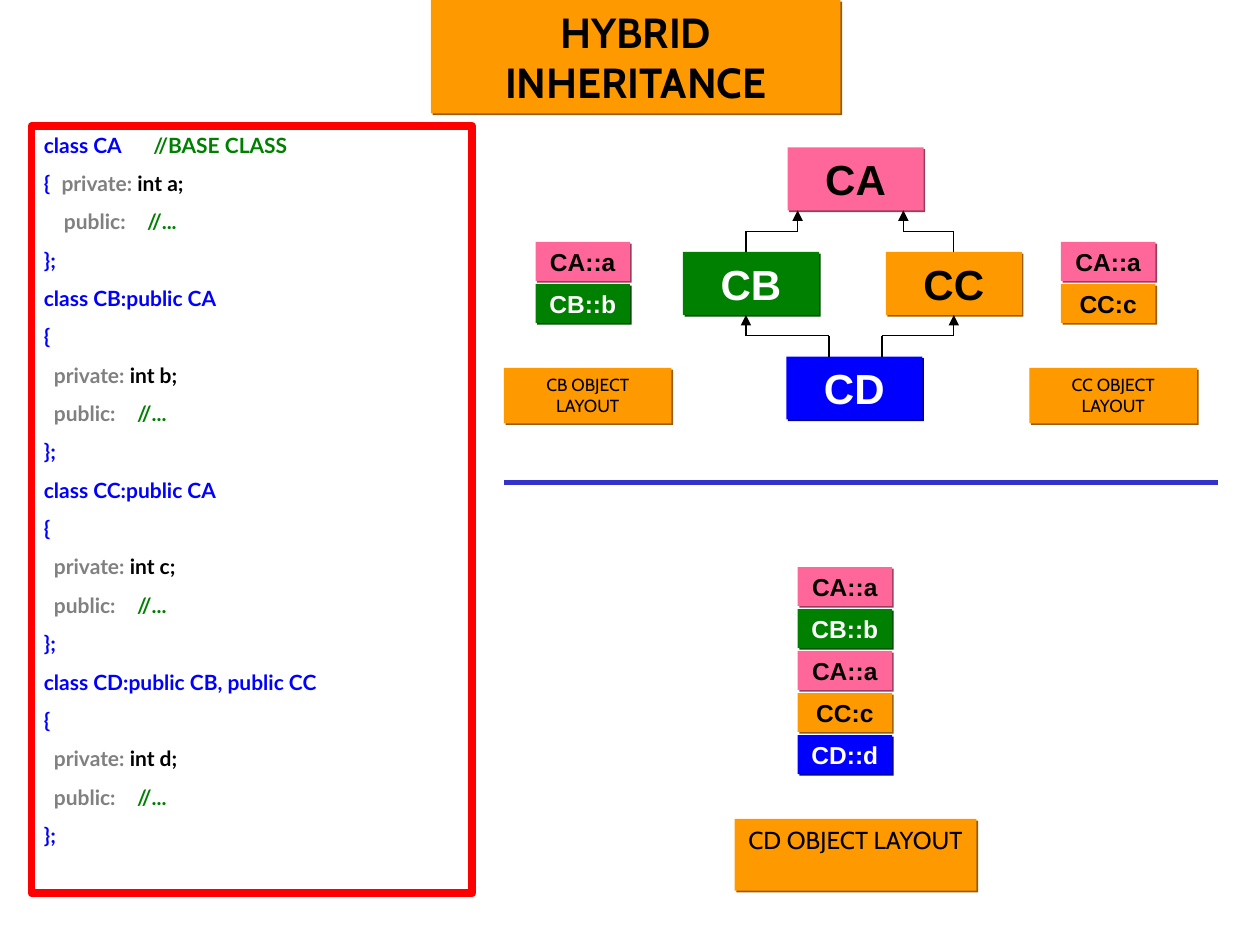
from dataclasses import dataclass
from typing import Optional

from lxml.etree import SubElement
from pptx import Presentation
from pptx.dml.color import RGBColor
from pptx.enum.shapes import MSO_CONNECTOR as Conn, MSO_SHAPE as Geo
from pptx.enum.text import MSO_ANCHOR as Anchor, MSO_AUTO_SIZE as Fit, PP_ALIGN as Align
from pptx.oxml.ns import qn
from pptx.util import Inches, Pt

COLORS = {
    "pink": "FF6699", "green": "008000", "orange": "FF9900", "blue": "0000FF",
    "red": "FF0000", "rule": "3333CC", "gray": "808080",
    "black": "000000", "white": "FFFFFF",
}
CLASS_FILL = {"CA": "pink", "CB": "green", "CC": "orange", "CD": "blue"}
NODE_W, NODE_H = 1.08, 0.5
CELL_W, CELL_H, CELL_STEP = 0.75, 0.31, 1 / 3


@dataclass
class Node:
    name: str
    x: float
    y: float


@dataclass
class Relation:
    child: str
    parent: str
    child_x: float
    parent_x: float
    joins_child: bool = False
    joins_parent: bool = False


@dataclass
class Layout:
    x: float
    y: float
    members: list[str]
    caption: str
    caption_box: tuple[float, float, float, float]
    size: int
    before: float


@dataclass
class CodeLine:
    runs: list[tuple[str, str]]
    tabs: tuple[float, ...] = ()


NODES = [Node("CA", 6.25, 1.17), Node("CB", 5.42, 2), Node("CC", 7.03, 2), Node("CD", 6.24, 2.83)]
RELATIONS = [
    Relation("CB", "CA", 5.92, 6.33),
    Relation("CC", "CA", 7.57, 7.17, joins_child=True),
    Relation("CD", "CB", 6.58, 5.92),
    Relation("CD", "CC", 7, 7.57, joins_parent=True),
]
LAYOUTS = [
    Layout(4.25, 1.92, ["CA::a", "CB::b"], "CB OBJECT LAYOUT", (4, 2.92, 1.33, 0.44), 10, 6.2),
    Layout(8.42, 1.92, ["CA::a", "CC:c"], "CC OBJECT LAYOUT", (8.17, 2.92, 1.33, 0.44), 10, 6.2),
    Layout(6.33, 4.5, ["CA::a", "CB::b", "CA::a", "CC:c", "CD::d"],
           "CD OBJECT LAYOUT", (5.83, 6.5, 1.92, 0.57), 14, 8.8),
]


def rgb(name: str) -> RGBColor:
    return RGBColor.from_string(COLORS[name])


def derived_class(header: str, member: str) -> list[CodeLine]:
    return [
        CodeLine([(header, "blue")]),
        CodeLine([("{", "blue")]),
        CodeLine([("\tprivate:", "gray"), (f" int {member};", "black")], (0.08,)),
        CodeLine([("\tpublic:", "gray"), ("\t//...", "green")], (0.08, 0.74)),
        CodeLine([("};", "blue")]),
    ]


CODE = [
    CodeLine([("class CA", "blue"), ("\t//BASE CLASS", "green")], (0.87,)),
    CodeLine([("{", "blue"), ("\tprivate:", "gray"), (" int a;", "black")], (0.14,)),
    CodeLine([("\tpublic:", "gray"), ("\t//...", "green")], (0.16, 0.82)),
    CodeLine([("};", "blue")]),
    *derived_class("class CB:public CA", "b"),
    *derived_class("class CC:public CA", "c"),
    *derived_class("class CD:public CB, public CC", "d"),
]


def add_run(p, text: str, font: str, size: float, color: str, bold: bool) -> None:
    r = p.add_run()
    r.text = text
    r.font.name = font
    r.font.size = Pt(size)
    r.font.bold = bold
    r.font.color.rgb = rgb(color)


def place(sp, x: float, y: float, w: float, h: float) -> None:
    sp.left, sp.top, sp.width, sp.height = (Inches(v) for v in (x, y, w, h))


def style_box(sp, fill: str) -> None:
    sp.fill.solid()
    sp.fill.fore_color.rgb = rgb(fill)
    sp.line.fill.background()
    sp.shadow.inherit = False
    effects = sp._element.spPr.find(qn("a:effectLst"))
    shadow = SubElement(effects, qn("a:outerShdw"), dist=str(Pt(1.4)), dir="2700000")
    dark = "".join(f"{round(part * 0.6):02X}" for part in rgb(fill))
    SubElement(shadow, qn("a:srgbClr"), val=dark)


def set_text(sp, text: str, font: str, size: float, color: str = "black", bold: bool = False,
             before: float = 0, anchor=Anchor.TOP, wrap: bool = True) -> None:
    tf = sp.text_frame
    tf.auto_size = Fit.NONE
    tf.word_wrap = wrap
    tf.vertical_anchor = anchor
    p = tf.paragraphs[0]
    p.alignment = Align.CENTER
    p.space_before = Pt(before)
    add_run(p, text, font, size, color, bold)


def add_box(shapes, x: float, y: float, w: float, h: float, fill: str):
    sp = shapes.add_shape(Geo.RECTANGLE, *(Inches(v) for v in (x, y, w, h)))
    style_box(sp, fill)
    return sp


def add_class_box(shapes, text: str, x: float, y: float, w: float, h: float, size: float):
    fill = CLASS_FILL[text[:2]]
    sp = add_box(shapes, x, y, w, h, fill)
    color = "white" if fill in ("green", "blue") else "black"
    set_text(sp, text, "Arial", size, color, True, anchor=Anchor.MIDDLE, wrap=False)
    return sp


def add_line(shapes, x1: float, y1: float, x2: float, y2: float, color: str = "black",
             width: float = 0.75, arrow: bool = False, start: Optional[object] = None,
             end: Optional[object] = None) -> None:
    cx = shapes.add_connector(Conn.STRAIGHT, *(Inches(v) for v in (x1, y1, x2, y2)))
    cx.line.color.rgb = rgb(color)
    cx.line.width = Pt(width)
    if arrow:
        SubElement(cx.line._get_or_add_ln(), qn("a:tailEnd"), type="triangle")
    SubElement(cx._element.spPr, qn("a:effectLst"))
    if start is not None:
        cx.begin_connect(start, 0)
    if end is not None:
        cx.end_connect(end, 2)


def add_code(shapes) -> None:
    sp = shapes.add_shape(Geo.RECTANGLE, Inches(0.25), Inches(1), Inches(3.5), Inches(6.09))
    sp.shadow.inherit = False
    sp.fill.solid()
    sp.fill.fore_color.rgb = rgb("white")
    sp.line.color.rgb = rgb("red")
    sp.line.width = Pt(4.5)
    tf = sp.text_frame
    tf.word_wrap = True
    tf.vertical_anchor = Anchor.TOP
    for i, line in enumerate(CODE):
        p = tf.add_paragraph() if i else tf.paragraphs[0]
        p.alignment = Align.LEFT
        p.space_before = Pt(7.5)
        if line.tabs:
            stops = SubElement(p._p.get_or_add_pPr(), qn("a:tabLst"))
            for pos in line.tabs:
                SubElement(stops, qn("a:tab"), pos=str(Inches(pos)), algn="l")
        for text, color in line.runs:
            add_run(p, text, "Lato", 12, color, True)


def add_hierarchy(shapes) -> None:
    group = shapes.add_group_shape().shapes
    boxes = {n.name: add_class_box(group, n.name, n.x, n.y, NODE_W, NODE_H, 24) for n in NODES}
    tops = {n.name: n.y for n in NODES}
    for rel in RELATIONS:
        top, bottom = tops[rel.child], tops[rel.parent] + NODE_H
        mid = (top + bottom) / 2
        add_line(group, rel.child_x, top, rel.child_x, mid,
                 start=boxes[rel.child] if rel.joins_child else None)
        add_line(group, rel.child_x, mid, rel.parent_x, mid)
        add_line(group, rel.parent_x, mid, rel.parent_x, bottom, arrow=True,
                 end=boxes[rel.parent] if rel.joins_parent else None)


def add_layout(shapes, layout: Layout) -> None:
    for i, member in enumerate(layout.members):
        add_class_box(shapes, member, layout.x, layout.y + i * CELL_STEP, CELL_W, CELL_H, 14)
    caption = add_box(shapes, *layout.caption_box, "orange")
    set_text(caption, layout.caption, "Cabin", layout.size, before=layout.before)


def main() -> None:
    prs = Presentation()
    prs.slide_width, prs.slide_height = Inches(10), Inches(7.5)
    s = prs.slides.add_slide(prs.slide_layouts[5])
    title = s.shapes.title
    place(title, 3.42, 0, 3.25, 0.9)
    style_box(title, "orange")
    set_text(title, "HYBRID INHERITANCE", "Cabin", 24, bold=True, before=15)
    add_code(s.shapes)
    add_line(s.shapes, 4, 3.83, 9.67, 3.83, "rule", 3)
    add_hierarchy(s.shapes)
    for layout in LAYOUTS:
        add_layout(s.shapes, layout)
    prs.save("out.pptx")


if __name__ == "__main__":
    main()
